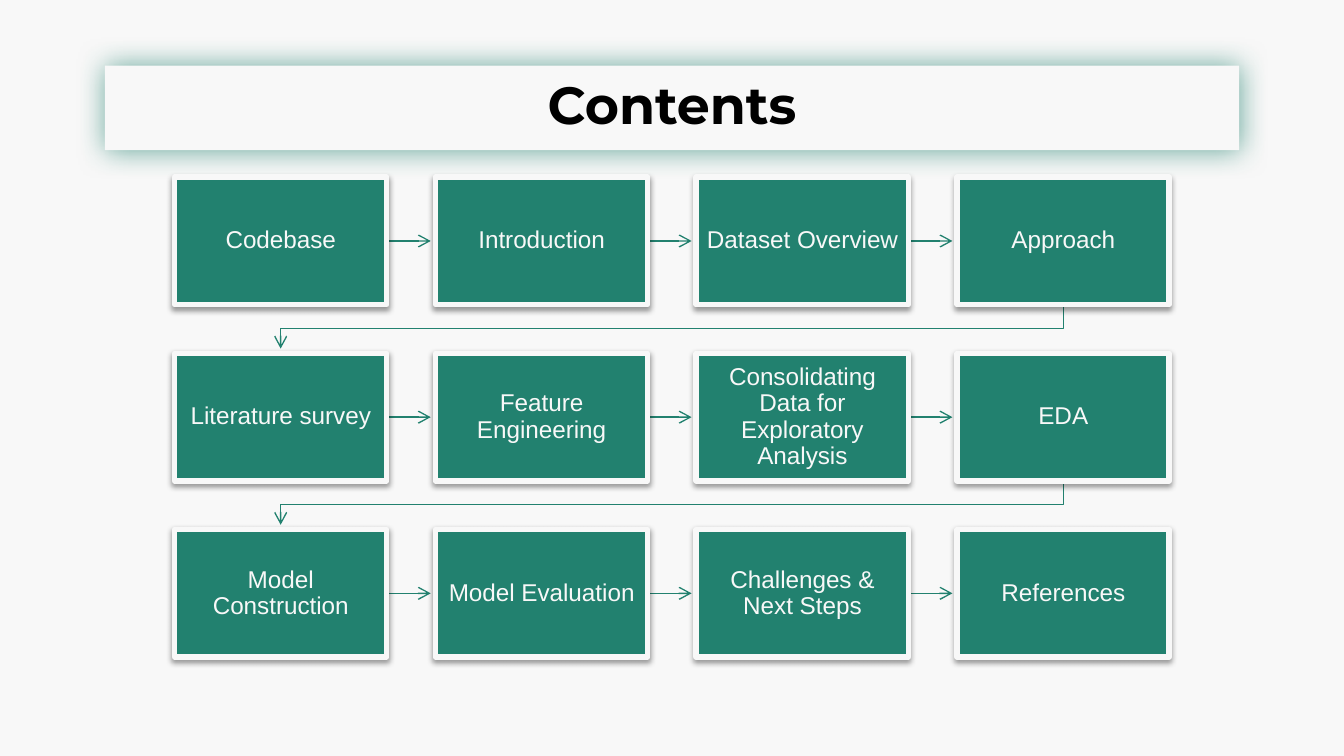
from lxml import etree
from pptx import Presentation
from pptx.dml.color import RGBColor
from pptx.enum.shapes import MSO_CONNECTOR, MSO_SHAPE
from pptx.enum.text import MSO_ANCHOR, MSO_AUTO_SIZE, PP_ALIGN
from pptx.oxml.ns import qn
from pptx.util import Cm, Pt

RECTANGLE = MSO_SHAPE.RECTANGLE
STRAIGHT = MSO_CONNECTOR.STRAIGHT
MIDDLE = MSO_ANCHOR.MIDDLE
CENTER = PP_ALIGN.CENTER
NO_AUTOFIT = MSO_AUTO_SIZE.NONE
RIGHT_SIDE = 3
TITLE_ONLY = 5

COLORS = {"paper": "F8F8F8", "green": "22816F", "black": "000000"}

STEPS = [
    ["Codebase", "Introduction", "Dataset Overview", "Approach"],
    ["Literature survey", "Feature Engineering",
     "Consolidating Data for Exploratory Analysis", "EDA"],
    ["Model Construction", "Model Evaluation", "Challenges & Next Steps", "References"],
]
BOX_WIDTH, BOX_HEIGHT = 4.01, 2.41
ARROW_GAP = 0.09


def color(name):
    return RGBColor.from_string(COLORS[name])


def fill_solid(fill, name):
    fill.solid()
    fill.fore_color.rgb = color(name)


def add_shadow(shape, name, alpha, blur, distance=0, angle=0):
    """Give the shape an outer shadow; alpha in percent, lengths in points."""
    shape.shadow.inherit = False
    effects = shape.element.spPr.find(qn("a:effectLst"))
    shadow = etree.SubElement(
        effects, qn("a:outerShdw"), blurRad=str(Pt(blur)), dist=str(Pt(distance)),
        dir=str(angle * 60000), algn="ctr", rotWithShape="0")
    shade = etree.SubElement(shadow, qn("a:srgbClr"), val=COLORS[name])
    etree.SubElement(shade, qn("a:alpha"), val=str(alpha * 1000))


def format_text(shape, text, font, size, color_name, margin, bold=False):
    frame = shape.text_frame
    frame.text = text
    frame.word_wrap = True
    frame.auto_size = NO_AUTOFIT
    frame.vertical_anchor = MIDDLE
    frame.margin_left = frame.margin_right = Cm(margin)
    frame.margin_top = frame.margin_bottom = Cm(margin)
    paragraph = frame.paragraphs[0]
    paragraph.alignment = CENTER
    paragraph.line_spacing = 0.9
    paragraph.font.name = font
    paragraph.font.size = Pt(size)
    paragraph.font.bold = bold
    paragraph.font.color.rgb = color(color_name)


def format_arrow(arrow):
    arrow.line.color.rgb = color("green")
    arrow.line.width = Pt(0.75)
    properties = arrow.element.spPr
    etree.SubElement(properties.find(qn("a:ln")), qn("a:tailEnd"), type="arrow")
    etree.SubElement(properties, qn("a:effectLst"))


def place_title(slide, left, top, width, height):
    title = slide.shapes.title
    title.left, title.top = Cm(left), Cm(top)
    title.width, title.height = Cm(width), Cm(height)
    fill_solid(title.fill, "paper")
    add_shadow(title, "green", 70, 15.8)
    format_text(title, "Contents", "Montserrat", 28, "black", 0.25, bold=True)


def add_step(slide, text, left, top):
    box = slide.shapes.add_shape(
        RECTANGLE, Cm(left), Cm(top), Cm(BOX_WIDTH), Cm(BOX_HEIGHT))
    fill_solid(box.fill, "green")
    box.line.color.rgb = color("paper")
    box.line.width = Pt(3)
    add_shadow(box, "black", 38, 3.1, 1.6, 90)
    format_text(box, text, "Arial", 13, "paper", 0.2)
    return box


def add_step_arrow(slide, start, end, y):
    arrow = slide.shapes.add_connector(STRAIGHT, Cm(start), Cm(y), Cm(end), Cm(y))
    format_arrow(arrow)
    return arrow


def add_row_arrow(slide, start_x, start_y, end_x, end_y):
    """Draw the bent arrow from the end of one row to the start of the next."""
    bend_y = start_y + 0.45
    points = [(start_x, bend_y), (end_x, bend_y), (end_x, end_y)]
    builder = slide.shapes.build_freeform(Cm(start_x), Cm(start_y))
    builder.add_line_segments([(Cm(x), Cm(y)) for x, y in points], close=False)
    arrow = builder.convert_to_shape()
    arrow.fill.background()
    format_arrow(arrow)


def add_flow(slide, left, top, width, height):
    """Spread the steps over the area, with arrows in reading order."""
    pitch_x = (width - BOX_WIDTH) / (len(STEPS[0]) - 1)
    pitch_y = (height - BOX_HEIGHT) / (len(STEPS) - 1)
    first_middle = left + BOX_WIDTH / 2
    last_middle = left + width - BOX_WIDTH / 2
    for row, texts in enumerate(STEPS):
        y = top + row * pitch_y
        lefts = [left + column * pitch_x for column in range(len(texts))]
        arrows = [
            add_step_arrow(slide, x + BOX_WIDTH, x + pitch_x - ARROW_GAP, y + BOX_HEIGHT / 2)
            for x in lefts[:-1]]
        if row < len(STEPS) - 1:
            add_row_arrow(slide, last_middle, y + BOX_HEIGHT,
                          first_middle, y + pitch_y - ARROW_GAP)
        boxes = [add_step(slide, text, x, y) for text, x in zip(texts, lefts)]
        for arrow, box in zip(arrows, boxes):
            arrow.begin_connect(box, RIGHT_SIDE)


def main():
    presentation = Presentation()
    presentation.slide_width = Cm(25.4)
    presentation.slide_height = Cm(14.29)
    slide = presentation.slides.add_slide(presentation.slide_layouts[TITLE_ONLY])
    fill_solid(slide.background.fill, "paper")
    place_title(slide, 1.98, 1.24, 21.44, 1.6)
    add_flow(slide, 3.3, 3.35, 18.8, 9.07)
    presentation.save("out.pptx")


if __name__ == "__main__":
    main()
